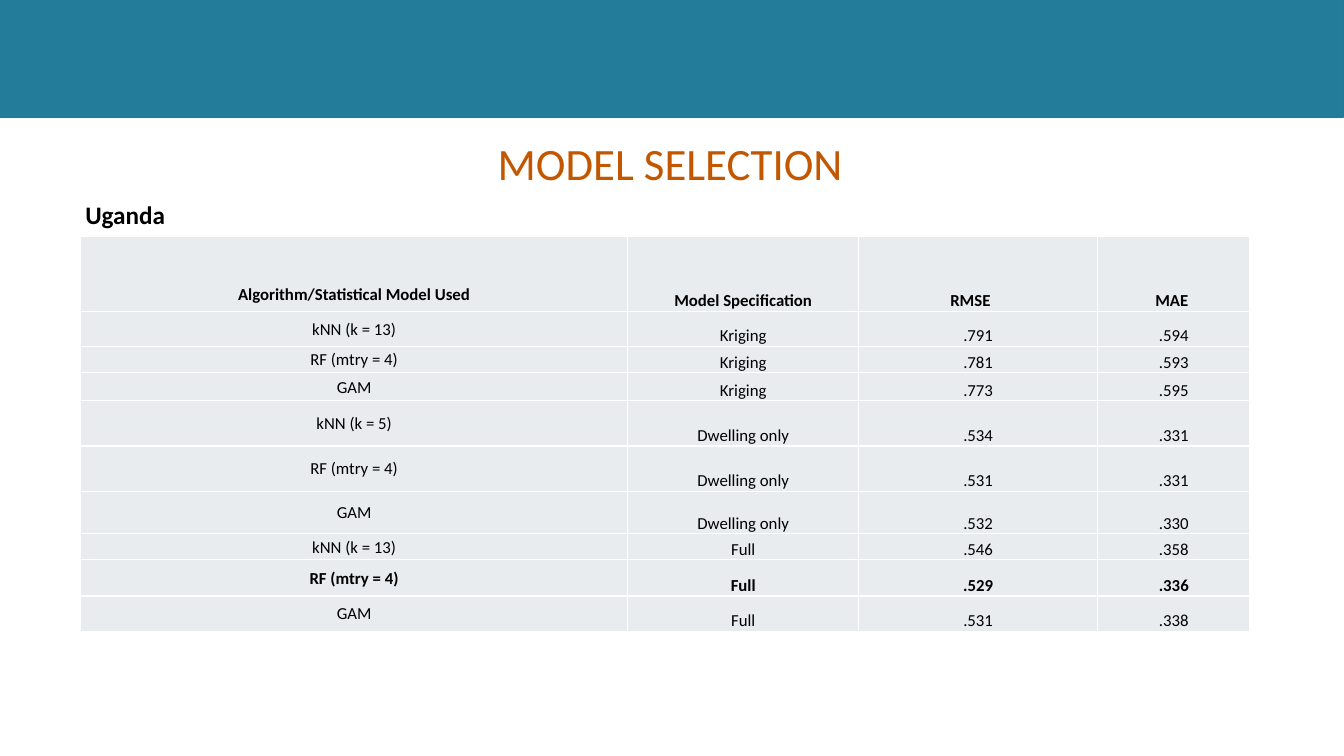
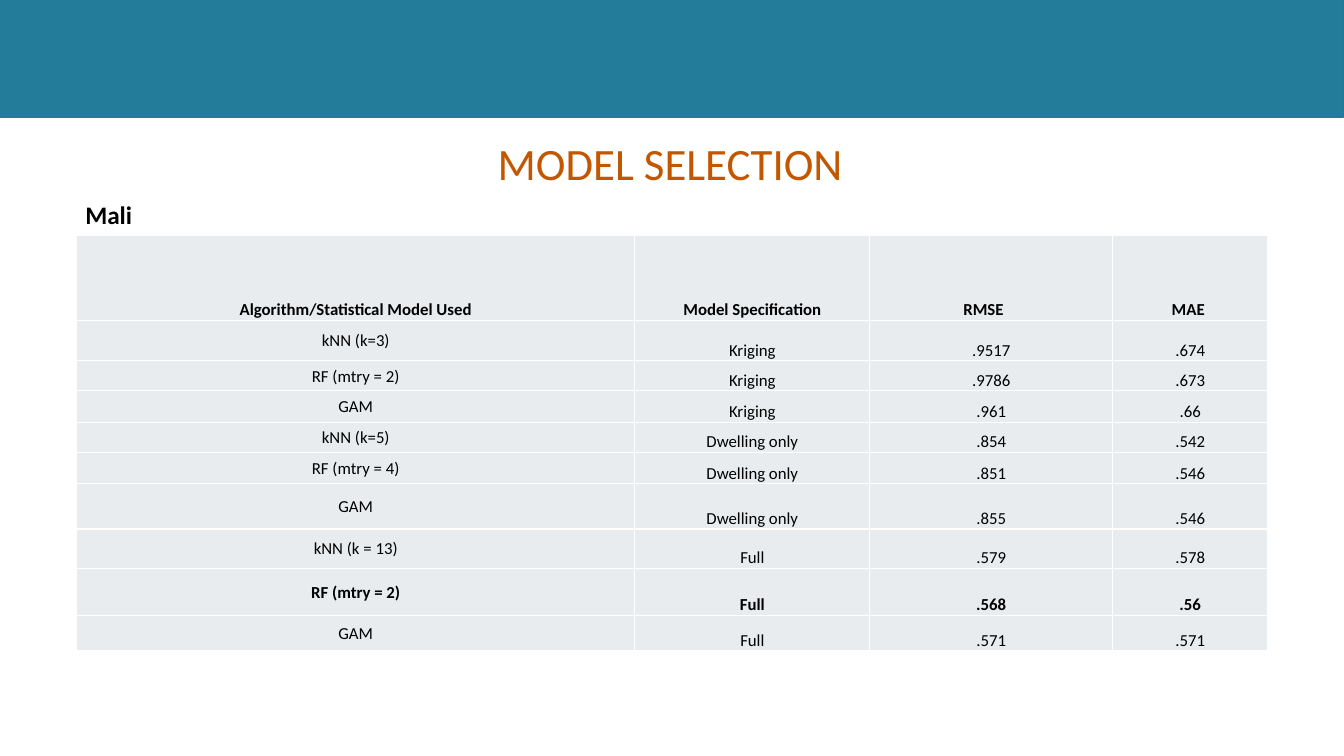
from dataclasses import dataclass

import pptx
import pptx.dml.color
import pptx.enum.shapes
import pptx.enum.text
import pptx.oxml
import pptx.oxml.ns
import pptx.util

Cm = pptx.util.Cm
Pt = pptx.util.Pt
ALIGN = pptx.enum.text.PP_ALIGN
ANCHOR = pptx.enum.text.MSO_ANCHOR

COLORS = {
    "band": "237C9A",
    "band_line": "1F7B9A",
    "title": "C25700",
    "text": "000000",
    "cell": "E8ECEF",
    "border": "FFFFFF",
}
FONT = "Calibri"
PAGE_WIDTH, PAGE_HEIGHT = Cm(33.87), Cm(19.05)
TITLE = "MODEL SELECTION"
HEADERS = ("Algorithm/Statistical Model Used", "Model Specification", "RMSE", "MAE")
SPECIFICATIONS = ("Kriging", "Dwelling only", "Full")
MODELS_PER_SPECIFICATION = 3
BEST_ROW = 8
CELL_INSET = 0.03
HEADER_RIGHT_INSETS = (CELL_INSET, CELL_INSET, 0.42, 0.13)


@dataclass(frozen=True)
class Result:
    model: str
    rmse: str
    mae: str


@dataclass(frozen=True)
class CountryResults:
    """Results for one country, with table measures in centimetres."""
    country: str
    label_width: float
    left: float
    top: float
    column_widths: tuple[float, ...]
    row_heights: tuple[float, ...]
    first_header_bottom: float
    results: tuple[Result, ...]


COUNTRIES = (
    CountryResults(
        "Uganda", 2.54, 2.03, 5.96,
        (13.79, 5.82, 6.02, 3.84),
        (1.88, 0.89, 0.66, 0.71, 1.14, 1.14, 1.07, 0.66, 0.91, 0.89),
        0.15,
        (
            Result("kNN (k = 13)", ".791", ".594"),
            Result("RF (mtry = 4)", ".781", ".593"),
            Result("GAM", ".773", ".595"),
            Result("kNN (k = 5)", ".534", ".331"),
            Result("RF (mtry = 4)", ".531", ".331"),
            Result("GAM", ".532", ".330"),
            Result("kNN (k = 13)", ".546", ".358"),
            Result("RF (mtry = 4)", ".529", ".336"),
            Result("GAM", ".531", ".338"),
        ),
    ),
    CountryResults(
        "Mali", 1.7, 1.93, 5.94,
        (14.07, 5.92, 6.12, 3.91),
        (2.13, 1.02, 0.76, 0.79, 0.76, 0.79, 1.14, 0.99, 1.19, 0.89),
        0,
        (
            Result("kNN (k=3)", ".9517", ".674"),
            Result("RF (mtry = 2)", ".9786", ".673"),
            Result("GAM", ".961", ".66"),
            Result("kNN (k=5)", ".854", ".542"),
            Result("RF (mtry = 4)", ".851", ".546"),
            Result("GAM", ".855", ".546"),
            Result("kNN (k = 13)", ".579", ".578"),
            Result("RF (mtry = 2)", ".568", ".56"),
            Result("GAM", ".571", ".571"),
        ),
    ),
)


def color(name: str) -> pptx.dml.color.RGBColor:
    return pptx.dml.color.RGBColor.from_string(COLORS[name])


def write_text(frame, text: str, *, size: float, color_name: str = "text",
               bold: bool = False, align=ALIGN.CENTER) -> None:
    para = frame.paragraphs[0]
    para.alignment = align
    span = para.add_run()
    span.text = text
    span.font.name = FONT
    span.font.size = Pt(size)
    span.font.bold = bold
    span.font.color.rgb = color(color_name)


def add_band(page) -> None:
    """Draw the top band and move it to the layout that all pages share."""
    band = page.shapes.add_shape(
        pptx.enum.shapes.MSO_SHAPE.RECTANGLE, 0, 0, PAGE_WIDTH, Cm(2.95))
    band.shadow.inherit = False
    band.fill.solid()
    band.fill.fore_color.rgb = color("band")
    band.line.color.rgb = color("band_line")
    band.line.width = Pt(0.75)
    band.element.xpath(".//p:cNvPr")[0].set("id", "20")
    page.slide_layout.shapes.element.insert(2, band.element)


def format_title(page) -> None:
    title = page.shapes.title
    title.left, title.top = Cm(1.65), Cm(3.2)
    title.width, title.height = Cm(30.48), Cm(1.65)
    frame = title.text_frame
    frame.word_wrap = True
    frame.auto_size = pptx.enum.text.MSO_AUTO_SIZE.NONE
    frame.vertical_anchor = ANCHOR.MIDDLE
    frame.margin_left = frame.margin_right = Cm(0.25)
    frame.margin_top, frame.margin_bottom = Cm(0.13), 0
    write_text(frame, TITLE, size=32, color_name="title")


def add_country_label(page, data: CountryResults) -> None:
    box = page.shapes.add_textbox(Cm(1.9), Cm(4.9), Cm(data.label_width), Cm(1.02))
    box.text_frame.word_wrap = False
    box.text_frame.auto_size = pptx.enum.text.MSO_AUTO_SIZE.SHAPE_TO_FIT_TEXT
    write_text(box.text_frame, data.country, size=18, bold=True, align=ALIGN.LEFT)


def add_borders(cell) -> None:
    properties = cell._tc.get_or_add_tcPr()
    for side in ("lnL", "lnR", "lnT", "lnB"):
        properties.append(pptx.oxml.parse_xml(
            f'<a:{side} {pptx.oxml.ns.nsdecls("a")} w="{Pt(1)}"><a:solidFill>'
            f'<a:srgbClr val="{COLORS["border"]}"/></a:solidFill></a:{side}>'))


def format_cell(cell, text: str, *, bold: bool, anchor,
                right: float = CELL_INSET, bottom: float = 0) -> None:
    add_borders(cell)
    cell.fill.solid()
    cell.fill.fore_color.rgb = color("cell")
    cell.vertical_anchor = anchor
    cell.margin_left = cell.margin_top = Cm(CELL_INSET)
    cell.margin_right, cell.margin_bottom = Cm(right), Cm(bottom)
    write_text(cell.text_frame, text, size=12, bold=bold)


def add_results_table(page, data: CountryResults) -> None:
    table = page.shapes.add_table(
        len(data.row_heights), len(data.column_widths), Cm(data.left), Cm(data.top),
        Cm(sum(data.column_widths)), Cm(sum(data.row_heights))).table
    table.first_row = table.horz_banding = False
    for column, width in zip(table.columns, data.column_widths):
        column.width = Cm(width)
    for row, height in zip(table.rows, data.row_heights):
        row.height = Cm(height)

    for index, (text, right) in enumerate(zip(HEADERS, HEADER_RIGHT_INSETS)):
        format_cell(table.cell(0, index), text, bold=True, anchor=ANCHOR.BOTTOM,
                    right=right, bottom=0 if index else data.first_header_bottom)
    for row_index, result in enumerate(data.results, start=1):
        specification = SPECIFICATIONS[(row_index - 1) // MODELS_PER_SPECIFICATION]
        values = (result.model, specification, result.rmse, result.mae)
        for index, text in enumerate(values):
            format_cell(table.cell(row_index, index), text, bold=row_index == BEST_ROW,
                        anchor=ANCHOR.BOTTOM if index else ANCHOR.MIDDLE)


def main() -> None:
    deck = pptx.Presentation()
    deck.slide_width, deck.slide_height = PAGE_WIDTH, PAGE_HEIGHT
    title_only = deck.slide_layouts[5]
    for number, data in enumerate(COUNTRIES):
        page = deck.slides.add_slide(title_only)
        if number == 0:
            add_band(page)
        format_title(page)
        add_results_table(page, data)
        add_country_label(page, data)
    deck.save("out.pptx")


if __name__ == "__main__":
    main()
